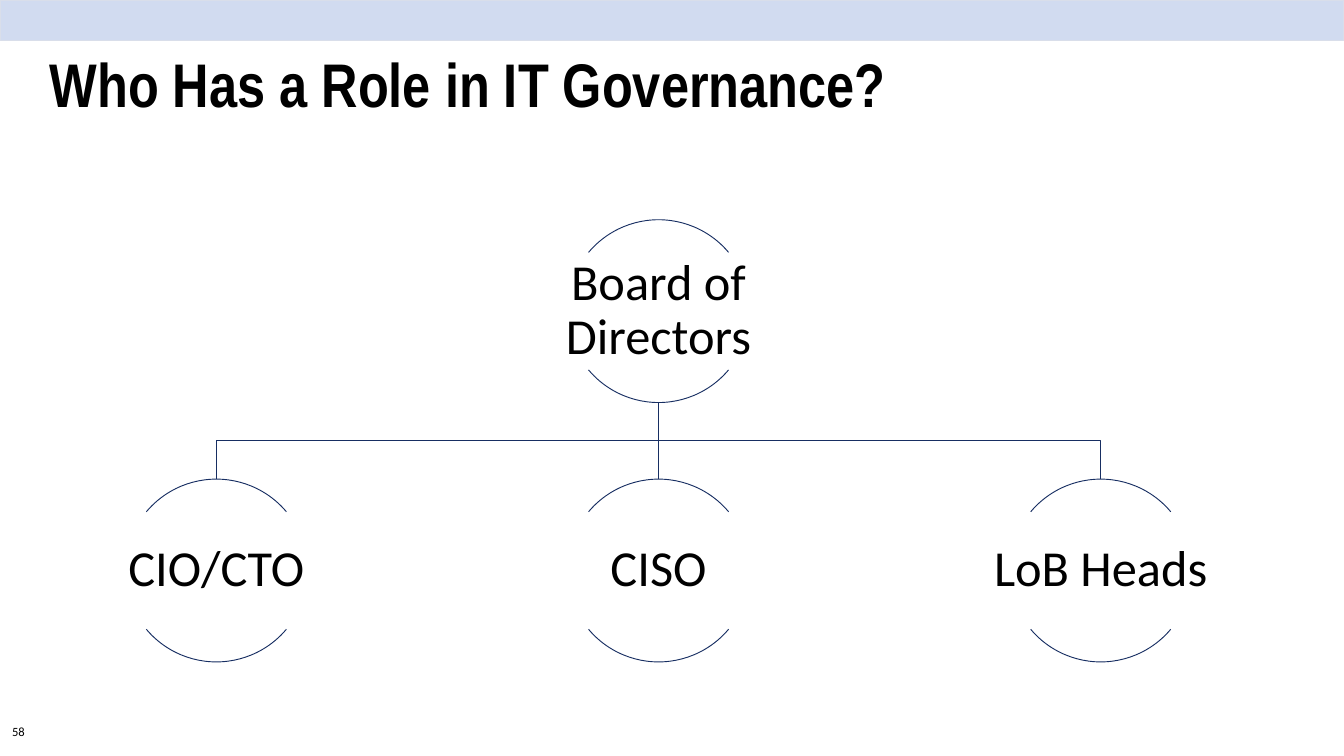
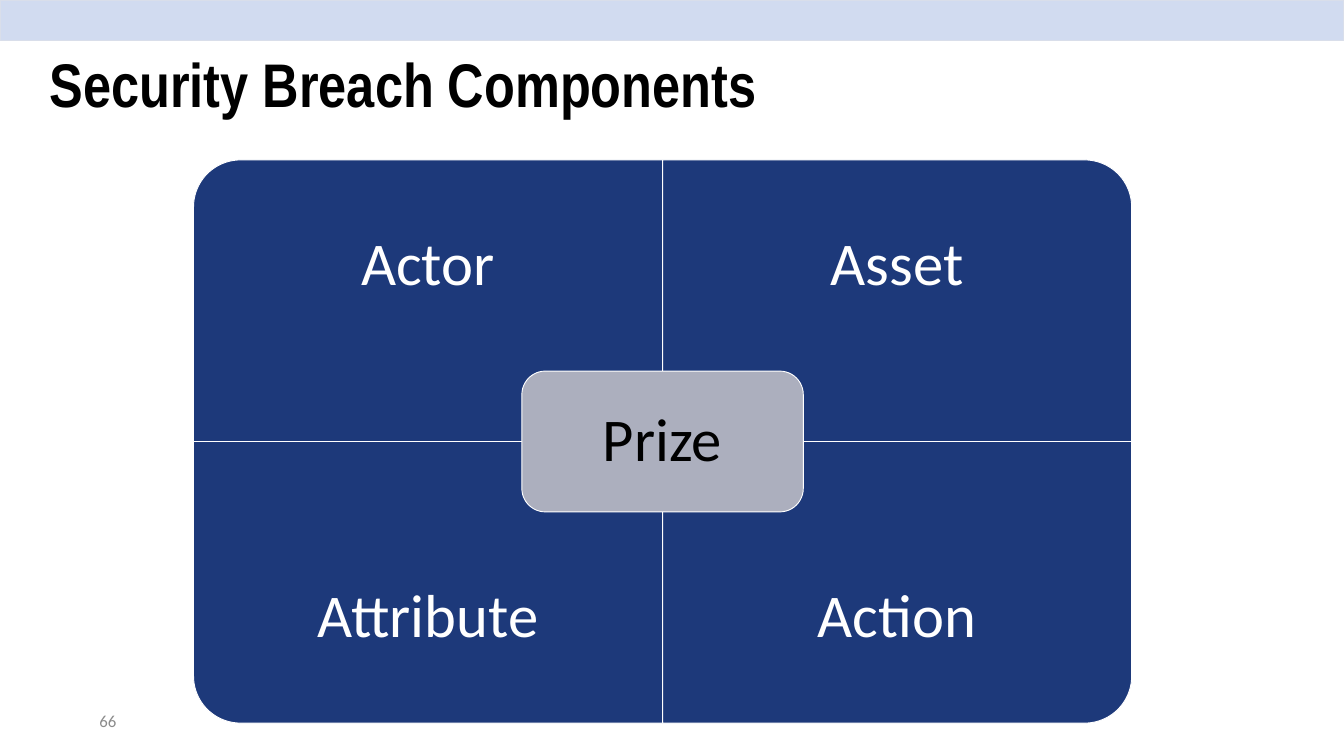
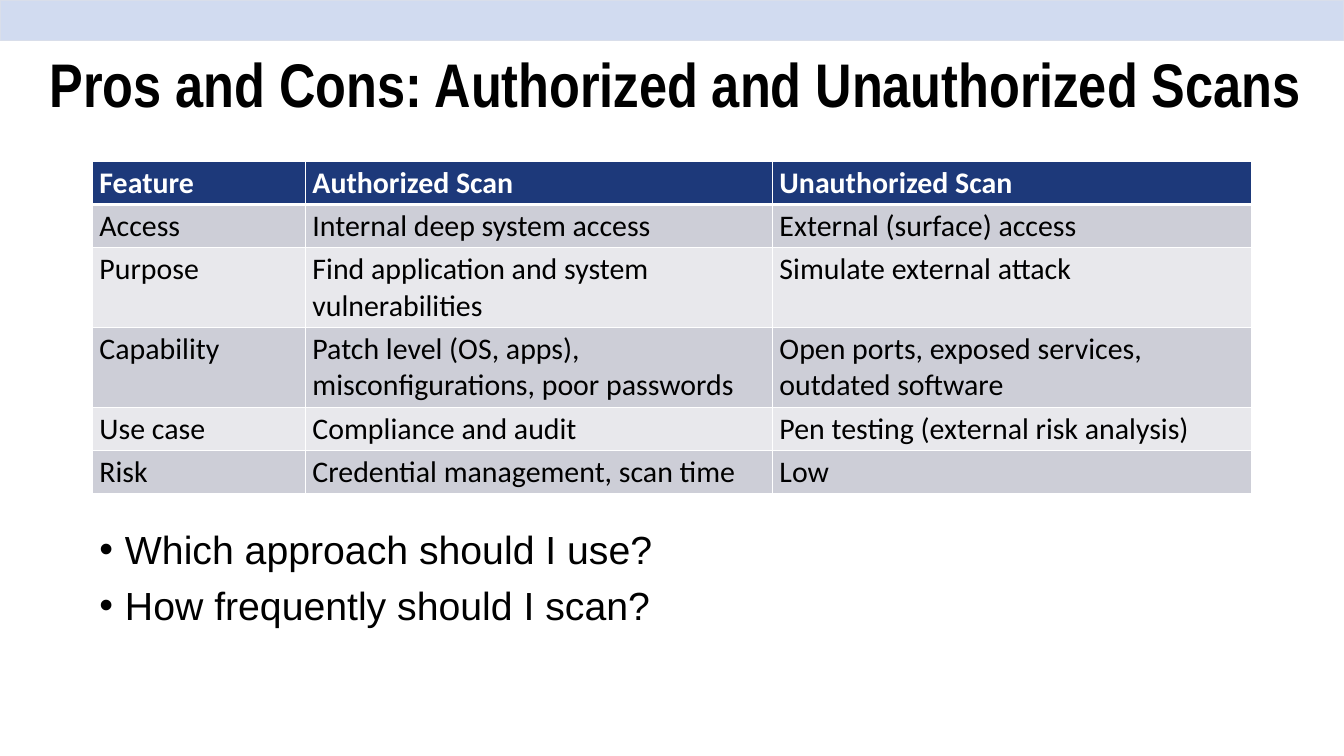
from lxml import etree
from pptx import Presentation
from pptx.dml.color import RGBColor
from pptx.enum.shapes import MSO_CONNECTOR, MSO_SHAPE
from pptx.enum.text import MSO_ANCHOR, MSO_AUTO_SIZE, PP_ALIGN
from pptx.oxml.ns import qn
from pptx.util import Inches, Pt

LEFT, CENTER = PP_ALIGN.LEFT, PP_ALIGN.CENTER
TOP, MIDDLE = MSO_ANCHOR.TOP, MSO_ANCHOR.MIDDLE
FIXED = MSO_AUTO_SIZE.NONE
RECT, ROUNDED = MSO_SHAPE.RECTANGLE, MSO_SHAPE.ROUNDED_RECTANGLE
ONE_ROUND, ARC = MSO_SHAPE.ROUND_1_RECTANGLE, MSO_SHAPE.ARC
STRAIGHT = MSO_CONNECTOR.STRAIGHT

COLORS = {
    "band": "D1DBF0", "band_edge": "D9DEEA", "navy": "1D397A", "outline": "172E62",
    "prize": "ACAFBE", "row_dark": "CDCED7", "row_light": "E8E8EC",
    "black": "000000", "white": "FFFFFF", "gray": "8C8C8C",
}
SLIDE_W, SLIDE_H = 20, 11.25
MARGIN, CONTENT_W = 1.38, 17.25
TITLE_ONLY, TITLE_AND_BODY = 5, 1

# Role chart: circles on three columns and two rows
CIRCLE = 2.72
COLUMN_X = [3.22 + 6.58 * column for column in range(3)]
BOARD_Y, TEAM_Y = 3.27, 7.13

# Breach matrix
MATRIX_X, MATRIX_Y = 2.88, 2.38
QUARTER_W, QUARTER_H = 6.98, 4.19

SCANS = [
    ("Feature", "Authorized Scan", "Unauthorized Scan"),
    ("Access", "Internal deep system access", "External (surface) access"),
    ("Purpose", "Find application and system vulnerabilities", "Simulate external attack"),
    ("Capability", "Patch level (OS, apps), misconfigurations, poor passwords",
     "Open ports, exposed services, outdated software"),
    ("Use case", "Compliance and audit", "Pen testing (external risk analysis)"),
    ("Risk", "Credential management, scan time", "Low"),
]


def rgb(name):
    return RGBColor.from_string(COLORS[name])


def inches(*lengths):
    return [Inches(length) for length in lengths]


def write(frame, *lines, size, font="Calibri", color="black", bold=False, align=LEFT,
          anchor=TOP, spacing=None, before=0, bullet=False, insets=(0.1, 0.05)):
    """Fill a text frame, one paragraph for each line."""
    frame.word_wrap = True
    frame.auto_size = FIXED
    frame.vertical_anchor = anchor
    frame.margin_left = frame.margin_right = Inches(insets[0])
    frame.margin_top = frame.margin_bottom = Inches(insets[1])
    for index, line in enumerate(lines):
        paragraph = frame.paragraphs[0] if index == 0 else frame.add_paragraph()
        if bullet:
            add_bullet(paragraph)
        paragraph.alignment = align
        paragraph.space_before = Pt(before if index else 0)
        if spacing:
            paragraph.line_spacing = spacing
        run = paragraph.add_run()
        run.text = line
        run.font.name, run.font.size, run.font.bold = font, Pt(size), bold
        run.font.color.rgb = rgb(color)


def add_bullet(paragraph, indent=0.38):
    properties = paragraph._p.get_or_add_pPr()
    properties.set("marL", str(Inches(indent)))
    properties.set("indent", str(-Inches(indent)))
    etree.SubElement(properties, qn("a:buFont"), typeface="Arial")
    etree.SubElement(properties, qn("a:buChar"), char="•")


def add_label(slide, box, text, **style):
    write(slide.shapes.add_textbox(*inches(*box)).text_frame, text, **style)


def style_line(line, color):
    line.color.rgb = rgb(color)
    line.width = Pt(1)


def add_box(slide, kind, box, fill=None, edge="white", rotation=0):
    shape = slide.shapes.add_shape(kind, *inches(*box))
    shape.shadow.inherit = False
    shape.rotation = rotation
    if fill:
        shape.fill.solid()
        shape.fill.fore_color.rgb = rgb(fill)
    else:
        shape.fill.background()
    style_line(shape.line, edge)
    return shape


def add_slide(prs, layout, title, title_w=CONTENT_W):
    slide = prs.slides.add_slide(prs.slide_layouts[layout])
    heading = slide.shapes.title
    heading.left, heading.top, heading.width, heading.height = inches(0.64, 0.22, title_w, 2.17)
    write(heading.text_frame, title, size=66, font="Arial Narrow", bold=True,
          anchor=MIDDLE, spacing=0.9)
    return slide


def add_master_band(prs, slide):
    """Draw the top band and move it to the back of the slide master."""
    band = add_box(slide, RECT, (0, 0, SLIDE_W, 0.6), "band", "band_edge")
    prs.slide_master.shapes.element.insert(2, band.element)


def add_role(slide, center_x, top, name):
    """A name between the upper and lower arcs of a circle."""
    for start, end in ((132, 192), (24, 84)):
        arc = add_box(slide, ARC, (center_x - CIRCLE / 2, top, CIRCLE, CIRCLE), edge="outline")
        arc.adjustments[0], arc.adjustments[1] = start, end
    add_label(slide, (center_x - CIRCLE, top + 0.18 * CIRCLE, 2 * CIRCLE, 0.64 * CIRCLE), name,
              size=54, align=CENTER, anchor=MIDDLE, spacing=0.9, insets=(0.04, 0.04))


def add_branch(slide, board_x, role_x):
    """Line from the board down to a role, with a bend when it is to the side."""
    start_y = BOARD_Y + CIRCLE
    if role_x == board_x:
        branch = slide.shapes.add_connector(STRAIGHT, *inches(board_x, start_y, role_x, TEAM_Y))
        etree.SubElement(branch._element.spPr, qn("a:effectLst"))
    else:
        bend_y = (start_y + TEAM_Y) / 2
        corners = [(board_x, bend_y), (role_x, bend_y), (role_x, TEAM_Y)]
        outline = slide.shapes.build_freeform(*inches(board_x, start_y))
        outline.add_line_segments([inches(*corner) for corner in corners], close=False)
        branch = outline.convert_to_shape()
        branch.shadow.inherit = False
        branch.fill.background()
    style_line(branch.line, "outline")


def add_quarter(slide, column, row, rotation, name):
    """A matrix quarter whose rounded corner is turned outwards."""
    left, top = MATRIX_X + column * QUARTER_W, MATRIX_Y + row * QUARTER_H
    width, height = QUARTER_W, QUARTER_H
    if rotation in (90, 270):
        width, height = height, width
    add_box(slide, ONE_ROUND, (left + (QUARTER_W - width) / 2, top + (QUARTER_H - height) / 2,
                               width, height), "navy", rotation=rotation)
    add_label(slide, (left, top + row * QUARTER_H / 4, QUARTER_W, 0.75 * QUARTER_H), name,
              size=65, color="white", align=CENTER, anchor=MIDDLE, spacing=0.9,
              insets=(0.51, 0.51))


def set_borders(cell, **widths):
    properties = cell._tc.get_or_add_tcPr()
    for index, side in enumerate("LRTB"):
        line = etree.Element(qn(f"a:ln{side}"), w=str(Pt(widths.get(side, 1))))
        fill = etree.SubElement(line, qn("a:solidFill"))
        etree.SubElement(fill, qn("a:srgbClr"), val=COLORS["white"])
        properties.insert(index, line)


def add_scan_table(slide):
    row_h = 0.41
    table = slide.shapes.add_table(len(SCANS), len(SCANS[0]), *inches(
        MARGIN, 2.4, CONTENT_W, row_h * len(SCANS))).table
    for column, width in zip(table.columns, inches(3.17, 6.95, 7.12)):
        column.width = width
    for row, texts in enumerate(SCANS):
        table.rows[row].height = Inches(row_h)
        header = row == 0
        fill = "navy" if header else "row_dark" if row % 2 else "row_light"
        for column, text in enumerate(texts):
            cell = table.cell(row, column)
            cell.fill.solid()
            cell.fill.fore_color.rgb = rgb(fill)
            set_borders(cell, B=3 if header else 1, T=3 if row == 1 else 1)
            write(cell.text_frame, text, size=32, bold=header,
                  color="white" if header else "black")


def build_roles(prs):
    slide = add_slide(prs, TITLE_ONLY, "Who Has a Role in IT Governance?")
    add_master_band(prs, slide)
    board_x = COLUMN_X[1]
    for role_x in COLUMN_X:
        add_branch(slide, board_x, role_x)
    add_role(slide, board_x, BOARD_Y, "Board of Directors")
    for role_x, name in zip(COLUMN_X, ("CIO/CTO", "CISO", "LoB Heads")):
        add_role(slide, role_x, TEAM_Y, name)
    add_label(slide, (0.03, 10.75, 1.64, 0.66), "58", size=13.5, spacing=0.8,
              insets=(0.15, 0.07))


def build_breach(prs):
    slide = add_slide(prs, TITLE_ONLY, "Security Breach Components")
    add_label(slide, (MARGIN, 10.43, 4.5, 0.6), "66", size=18, color="gray", anchor=MIDDLE)
    add_quarter(slide, 0, 0, 270, "Actor")
    add_quarter(slide, 1, 0, 0, "Asset")
    add_quarter(slide, 0, 1, 180, "Attribute")
    add_quarter(slide, 1, 1, 90, "Action")
    prize_w, prize_h = 0.6 * QUARTER_W, 0.5 * QUARTER_H
    prize = add_box(slide, ROUNDED, (MATRIX_X + QUARTER_W - prize_w / 2,
                                     MATRIX_Y + QUARTER_H - prize_h / 2, prize_w, prize_h), "prize")
    write(prize.text_frame, "Prize", size=65, align=CENTER, anchor=MIDDLE, spacing=0.9,
          insets=(0.27, 0.27))


def build_scans(prs):
    slide = add_slide(prs, TITLE_AND_BODY, "Pros and Cons: Authorized and Unauthorized Scans",
                      title_w=19.16)
    add_scan_table(slide)
    questions = slide.placeholders[1]
    questions.left, questions.top, questions.width, questions.height = inches(
        MARGIN, 7.84, CONTENT_W, 2.18)
    write(questions.text_frame, "Which approach should I use?", "How frequently should I scan?",
          size=42, font="Arial", spacing=0.9, before=15, bullet=True)


def main():
    prs = Presentation()
    prs.slide_width, prs.slide_height = inches(SLIDE_W, SLIDE_H)
    build_roles(prs)
    build_breach(prs)
    build_scans(prs)
    prs.save("out.pptx")


if __name__ == "__main__":
    main()
